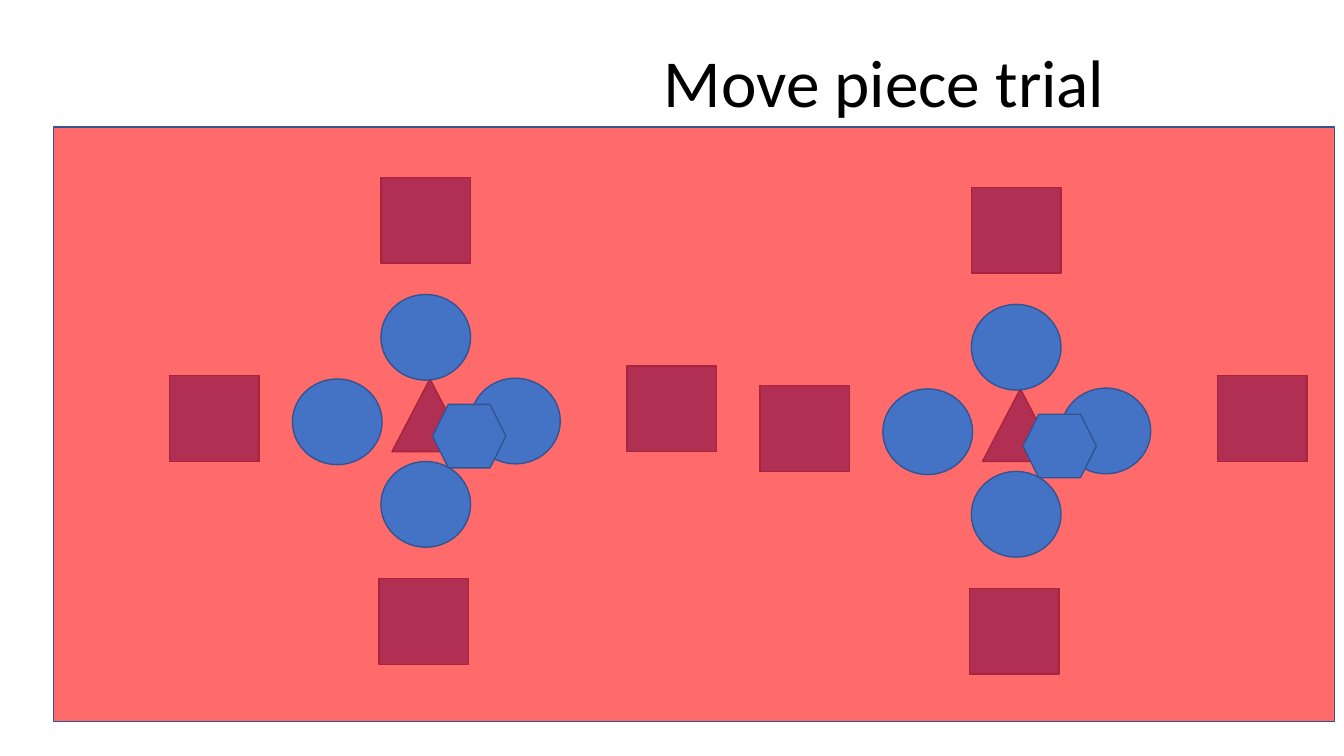
import pptx
import pptx.dml.color
import pptx.enum.shapes
import pptx.enum.text
import pptx.util
from lxml import etree
from pptx.oxml.ns import qn

Cm = pptx.util.Cm
Shape = pptx.enum.shapes.MSO_SHAPE


def color(value):
    return pptx.dml.color.RGBColor.from_string(value)


class Board:
    font = "Calibri"
    text_color = "000000"
    piece_fill = "4472C4"
    outline = "325491"

    def __init__(self, slide):
        self.slide = slide

    def title(self, text, left, top, width, height):
        box = self.slide.shapes.add_textbox(Cm(left), Cm(top), Cm(width), Cm(height))
        frame = box.text_frame
        frame.word_wrap = True
        frame.auto_size = pptx.enum.text.MSO_AUTO_SIZE.SHAPE_TO_FIT_TEXT
        paragraph = frame.paragraphs[0]
        paragraph.text = text
        paragraph.font.name = self.font
        paragraph.font.size = pptx.util.Pt(48)
        paragraph.font.color.rgb = color(self.text_color)

    def piece(self, kind, left, top, width, height, fill=piece_fill):
        piece = self.slide.shapes.add_shape(kind, Cm(left), Cm(top), Cm(width), Cm(height))
        piece.shadow.inherit = False
        piece.fill.solid()
        piece.fill.fore_color.rgb = color(fill)
        piece.line.color.rgb = color(self.outline)
        piece.line.width = pptx.util.Pt(1)
        return piece

    def overlay(self, left, top, width, height, fill, opacity):
        cover = self.piece(Shape.RECTANGLE, left, top, width, height, fill)
        fill_color = cover.fill._xPr.find(qn("a:solidFill"))[0]
        etree.SubElement(fill_color, qn("a:alpha")).set("val", str(opacity * 1000))


TRIAL_OFFSETS = [(0, 0), (14.88, 0.25)]
TILE_SIZE = (2.26, 2.16)
TRIANGLE = (9.88, 9.55, 1.91, 1.83)
HEXAGON = (10.9, 10.19, 1.85, 1.6)
SQUARES = [(4.27, 9.47), (9.55, 14.58), (15.8, 9.22), (9.6, 4.47)]
CIRCLES = [(7.37, 9.55), (9.6, 11.63), (11.86, 9.53), (9.6, 7.42)]


def main():
    deck = pptx.Presentation()
    deck.slide_width, deck.slide_height = Cm(33.87), Cm(19.05)
    board = Board(deck.slides.add_slide(deck.slide_layouts[6]))
    board.title("Move piece trial", 16.48, 0.89, 15.34, 2.31)

    covered = [(Shape.ISOSCELES_TRIANGLE, *TRIANGLE)]
    covered += [(Shape.RECTANGLE, *place, *TILE_SIZE) for place in SQUARES]
    uncovered = [(Shape.OVAL, *place, *TILE_SIZE) for place in CIRCLES]
    uncovered.append((Shape.HEXAGON, *HEXAGON))

    def lay_out(pieces):
        for across, down in TRIAL_OFFSETS:
            for kind, left, top, width, height in pieces:
                board.piece(kind, left + across, top + down, width, height)

    lay_out(covered)
    board.overlay(1.35, 3.2, 32.28, 14.99, "FF0000", 58)
    lay_out(uncovered)
    deck.save("out.pptx")


if __name__ == "__main__":
    main()
